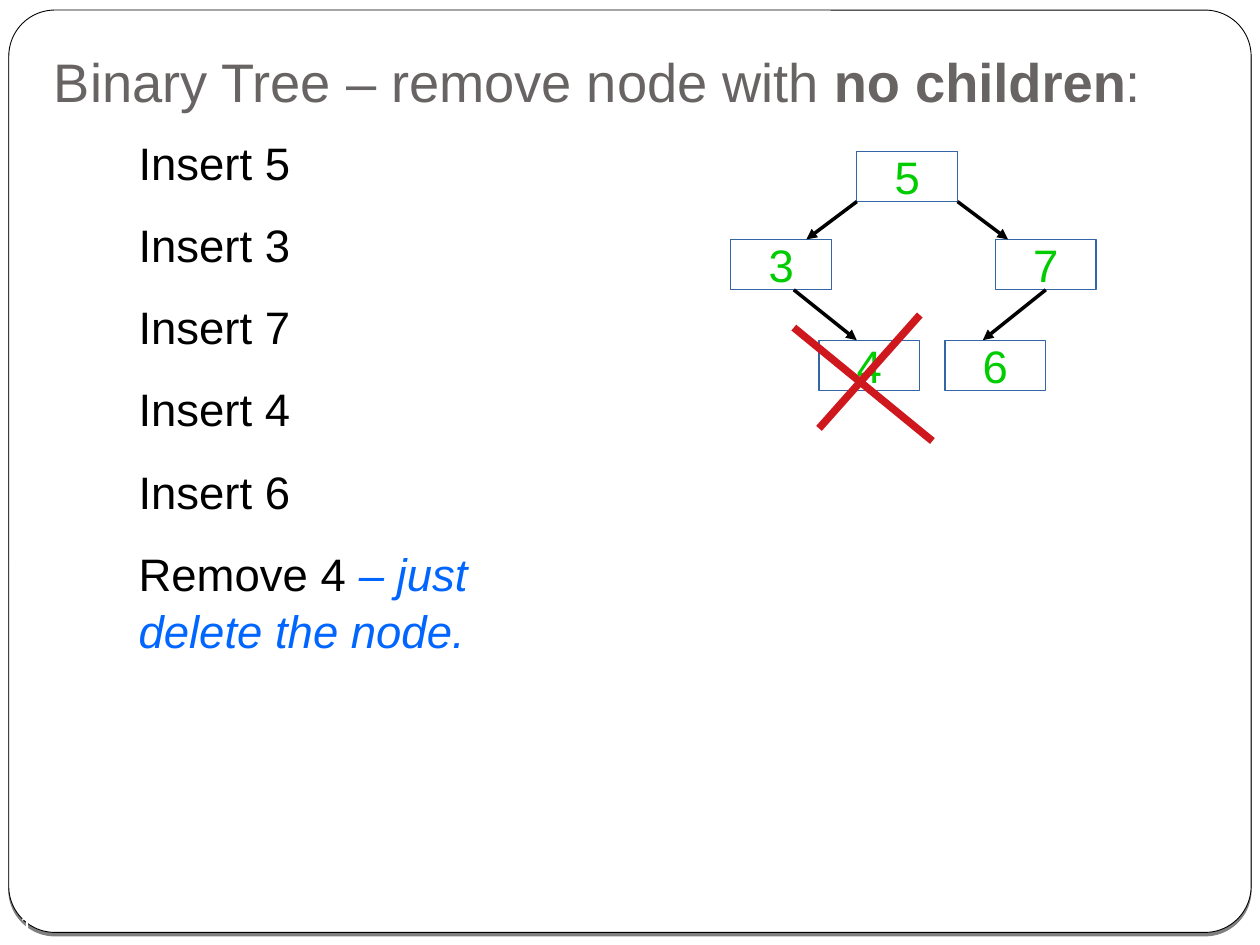
from dataclasses import dataclass
from typing import Optional

from lxml import etree
from pptx import Presentation
from pptx.dml.color import RGBColor
from pptx.enum.shapes import MSO_CONNECTOR, MSO_SHAPE
from pptx.enum.text import MSO_ANCHOR, PP_ALIGN
from pptx.oxml.ns import qn
from pptx.util import Inches, Pt

RECT = MSO_SHAPE.RECTANGLE
ROUND = MSO_SHAPE.ROUNDED_RECTANGLE
STRAIGHT = MSO_CONNECTOR.STRAIGHT
TOP, MIDDLE, BOTTOM = MSO_ANCHOR.TOP, MSO_ANCHOR.MIDDLE, MSO_ANCHOR.BOTTOM
LEFT, CENTER = PP_ALIGN.LEFT, PP_ALIGN.CENTER

FONT = "Arial"
CELL = 0.1
NODE_COLS, NODE_ROWS = 8, 4
COLORS = {
    "white": "FFFFFF",
    "black": "000000",
    "title": "696464",
    "note": "0066FF",
    "node_line": "3465A4",
    "node_text": "00CC00",
    "cross": "CE181E",
}


@dataclass
class Node:
    label: str
    col: float
    row: float


@dataclass
class Line:
    start: tuple[float, float]
    end: tuple[float, float]
    parent: Optional[str] = None
    color: str = "black"
    width: float = 0


NODES = [
    Node("5", 68, 12),
    Node("3", 58, 19),
    Node("7", 79, 19),
    Node("4", 65, 27),
    Node("6", 75, 27),
]
EDGES = [
    Line((68, 16), (64, 19)),
    Line((76, 16), (80, 19)),
    Line((63, 23), (68, 27)),
    Line((83, 23), (78, 27), parent="7"),
]
CROSS = [
    Line((63, 26), (74, 35), color="cross", width=4.31),
    Line((73, 25), (65, 34), color="cross", width=4.31),
]
STEPS = ["Insert 5", "Insert 3", "Insert 7", "Insert 4", "Insert 6", "Remove 4"]


def grid(n: float) -> int:
    return Inches(n * CELL)


def rgb(name: str) -> RGBColor:
    return RGBColor.from_string(COLORS[name])


def style(p, size: float, color: str, align=LEFT) -> None:
    p.alignment = align
    p.font.name = FONT
    p.font.size = Pt(size)
    p.font.color.rgb = rgb(color)


def add_text(slide, col: float, row: float, cols: float, rows: float, anchor):
    sp = slide.shapes.add_textbox(grid(col), grid(row), grid(cols), grid(rows))
    tf = sp.text_frame
    tf.word_wrap = True
    tf.vertical_anchor = anchor
    return tf


def add_card(slide) -> None:
    sp = slide.shapes.add_shape(ROUND, grid(0.7), grid(0.8), grid(98.6), grid(73.2))
    sp.adjustments[0] = 0.05
    sp.fill.solid()
    sp.fill.fore_color.rgb = rgb("white")
    sp.line.color.rgb = rgb("black")
    sp.line.width = Pt(0.5)
    sp.shadow.inherit = False
    effects = sp._element.spPr.find(qn("a:effectLst"))
    shadow = etree.SubElement(effects, qn("a:outerShdw"), dist=str(Pt(2)), dir="5400000")
    color = etree.SubElement(shadow, qn("a:srgbClr"), val=COLORS["black"])
    etree.SubElement(color, qn("a:alpha"), val="50000")


def add_title(slide) -> None:
    tf = add_text(slide, 3.3, 3, 93.3, 7, BOTTOM)
    tf.margin_bottom = grid(1)
    p = tf.paragraphs[0]
    p.line_spacing = 0.8
    style(p, 31, "title")
    for text, bold in (("Binary Tree – remove node with ", False), ("no children", True), (":", False)):
        r = p.add_run()
        r.text = text
        r.font.bold = bold


def add_steps(slide) -> None:
    tf = add_text(slide, 5.3, 10, 38.7, 62.5, TOP)
    tf.margin_left = grid(5.7)
    for i, step in enumerate(STEPS):
        p = tf.add_paragraph() if i else tf.paragraphs[0]
        p.line_spacing = 1.05
        if i:
            p.space_before = Pt(14.2)
        style(p, 26, "black")
        p.add_run().text = step
    r = p.add_run()
    r.text = " – just delete the node."
    r.font.italic = True
    r.font.color.rgb = rgb("note")


def add_number(slide) -> None:
    tf = add_text(slide, 0, 71.7, 3.3, 3.3, MIDDLE)
    tf.margin_left = tf.margin_right = tf.margin_top = tf.margin_bottom = 0
    p = tf.paragraphs[0]
    style(p, 14, "white", CENTER)
    p.add_run().text = "11"


def add_node(slide, node: Node):
    sp = slide.shapes.add_shape(RECT, grid(node.col), grid(node.row), grid(NODE_COLS), grid(NODE_ROWS))
    sp.shadow.inherit = False
    sp.fill.background()
    sp.line.color.rgb = rgb("node_line")
    sp.line.width = Pt(0)
    tf = sp.text_frame
    tf.word_wrap = False
    tf.vertical_anchor = MIDDLE
    p = tf.paragraphs[0]
    style(p, 26, "node_text", CENTER)
    p.add_run().text = node.label
    return sp


def add_line(slide, line: Line):
    cx = slide.shapes.add_connector(STRAIGHT, *map(grid, line.start + line.end))
    cx.line.color.rgb = rgb(line.color)
    cx.line.width = Pt(line.width)
    etree.SubElement(cx._element.spPr, qn("a:effectLst"))
    return cx


def main() -> None:
    prs = Presentation()
    prs.slide_width, prs.slide_height = Inches(10), Inches(7.5)
    slide = prs.slides.add_slide(prs.slide_layouts[6])
    add_card(slide)
    add_title(slide)
    add_number(slide)
    add_steps(slide)
    boxes = {node.label: add_node(slide, node) for node in NODES}
    for edge in EDGES:
        cx = add_line(slide, edge)
        etree.SubElement(cx.line._get_or_add_ln(), qn("a:tailEnd"), type="triangle")
        if edge.parent:
            cx.begin_connect(boxes[edge.parent], 2)
    for stroke in CROSS:
        add_line(slide, stroke)
    prs.save("out.pptx")


if __name__ == "__main__":
    main()
